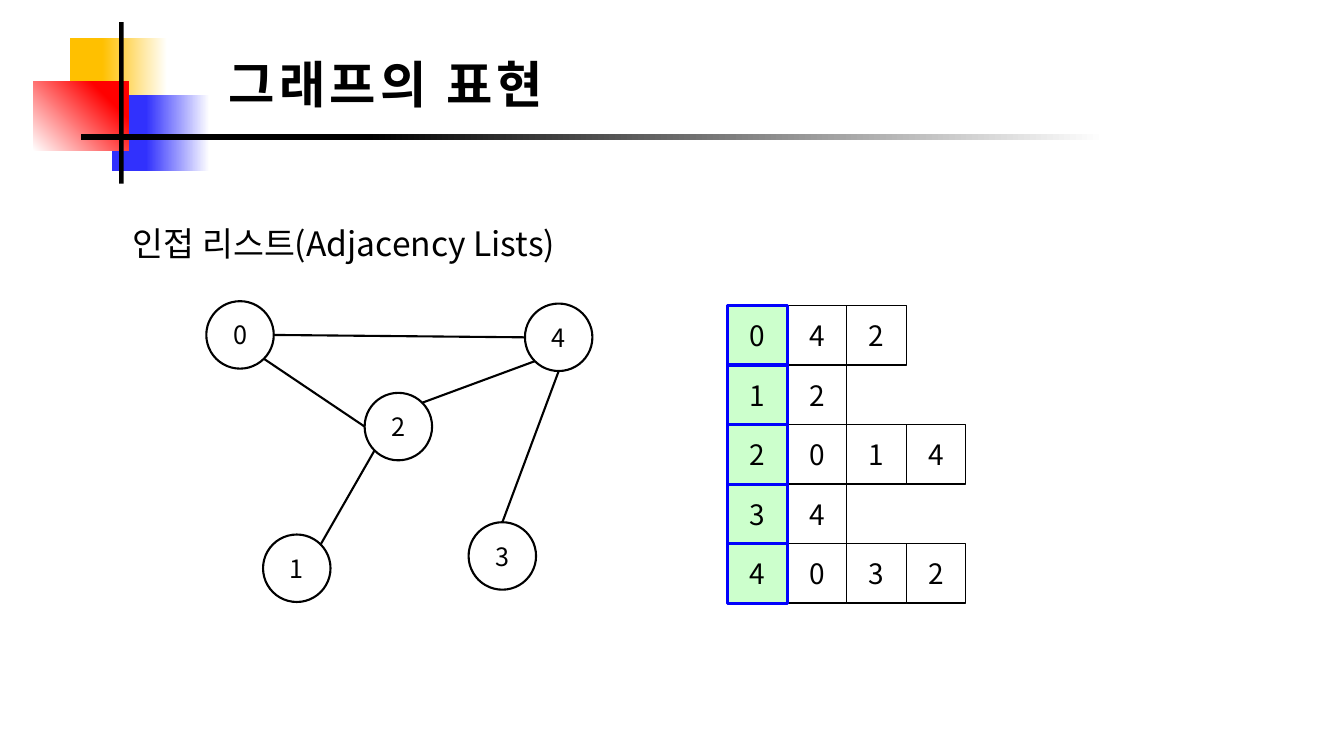
from math import cos, radians, sin

from lxml import etree
from pptx import Presentation
from pptx.dml.color import RGBColor
from pptx.enum.shapes import MSO_CONNECTOR, MSO_SHAPE
from pptx.enum.text import MSO_ANCHOR, MSO_AUTO_SIZE, PP_ALIGN
from pptx.oxml.ns import qn
from pptx.util import Cm, Pt

RECTANGLE = MSO_SHAPE.RECTANGLE
OVAL = MSO_SHAPE.OVAL
STRAIGHT = MSO_CONNECTOR.STRAIGHT
MIDDLE = MSO_ANCHOR.MIDDLE
FIT_SHAPE = MSO_AUTO_SIZE.SHAPE_TO_FIT_TEXT
CENTER = PP_ALIGN.CENTER

BLACK = RGBColor(0x00, 0x00, 0x00)
WHITE = RGBColor(0xFF, 0xFF, 0xFF)
YELLOW = RGBColor(0xFF, 0xC0, 0x00)
BLUE = RGBColor(0x31, 0x31, 0xFD)
RED = RGBColor(0xFF, 0x00, 0x00)
GREEN = RGBColor(0xCC, 0xFF, 0xCC)
HEAD_BLUE = RGBColor(0x02, 0x02, 0xFC)

FONT = "Noto Sans CJK KR"
NODE_SIZE = 1.7
CELL_SIZE = 1.5
LIST_LEFT, LIST_TOP = 18.34, 7.7

NODE_CENTERS = {
    0: (6.05, 8.44),
    1: (7.48, 14.32),
    2: (10.04, 10.75),
    3: (12.66, 14.01),
    4: (14.08, 8.5),
}
EDGES = [
    (0, 45, 2, 180),
    (1, -45, 2, 135),
    (3, -90, 4, 90),
    (4, 135, 2, -45),
    (0, 0, 4, 180),
]
ADJACENCY = [[4, 2], [2], [0, 1, 4], [4], [0, 3, 2]]


def add_run(paragraph, text, size, bold=False, spacing=0):
    """Add one black run, with optional letter spacing in points."""
    run = paragraph.add_run()
    run.text = text
    run.font.size = Pt(size)
    run.font.name = FONT
    run.font.bold = bold
    run.font.color.rgb = BLACK
    properties = run.font._element
    if spacing:
        properties.set("spc", str(spacing * 100))
    etree.SubElement(properties, qn("a:ea")).set("typeface", FONT)


def add_text(slide, left, top, width, height, text, size, bold=False, spacing=0):
    """Add a wrapping text box with a single line of text."""
    box = slide.shapes.add_textbox(Cm(left), Cm(top), Cm(width), Cm(height))
    box.text_frame.word_wrap = True
    box.text_frame.auto_size = FIT_SHAPE
    add_run(box.text_frame.paragraphs[0], text, size, bold, spacing)


def add_bar(slide, left, top, width, height, color, fade_stop=None, angle=180):
    """Add a borderless rectangle, solid or fading from white to its colour."""
    shape = slide.shapes.add_shape(
        RECTANGLE, Cm(left), Cm(top), Cm(width), Cm(height))
    shape.shadow.inherit = False
    shape.line.fill.background()
    if fade_stop is None:
        shape.fill.solid()
        shape.fill.fore_color.rgb = color
        return
    shape.fill.gradient()
    shape.fill.gradient_angle = angle
    start, end = shape.fill.gradient_stops
    start.color.rgb, start.position = WHITE, 0
    end.color.rgb, end.position = color, fade_stop


def add_labelled(slide, kind, left, top, side, label, size, fill, line, weight):
    """Add an outlined shape of equal sides with a centred label."""
    shape = slide.shapes.add_shape(kind, Cm(left), Cm(top), Cm(side), Cm(side))
    shape.shadow.inherit = False
    shape.fill.solid()
    shape.fill.fore_color.rgb = fill
    shape.line.color.rgb = line
    shape.line.width = Pt(weight)
    frame = shape.text_frame
    frame.margin_left = frame.margin_right = 0
    frame.margin_top = frame.margin_bottom = 0
    frame.vertical_anchor = MIDDLE
    frame.paragraphs[0].alignment = CENTER
    add_run(frame.paragraphs[0], str(label), size)


def rim_point(node, angle):
    """Return the point on a node's rim at a clockwise angle from the right."""
    x, y = NODE_CENTERS[node]
    radius = NODE_SIZE / 2
    return (Cm(x + radius * cos(radians(angle))),
            Cm(y + radius * sin(radians(angle))))


def add_edge(slide, start, start_angle, end, end_angle):
    """Draw a graph edge between the rims of two nodes."""
    edge = slide.shapes.add_connector(
        STRAIGHT, *rim_point(start, start_angle), *rim_point(end, end_angle))
    edge.line.color.rgb = BLACK
    edge.line.width = Pt(1.5)
    etree.SubElement(edge._element.spPr, qn("a:effectLst"))


def add_decoration(slide):
    """Draw the coloured blocks and crossing bars beside the title."""
    add_bar(slide, 1.76, 0.97, 2.46, 2.41, YELLOW, 0.67)
    add_bar(slide, 2.82, 2.4, 2.46, 1.92, BLUE, 0.65)
    add_bar(slide, 0.84, 2.06, 2.4, 1.74, RED, 0.78, 45)
    add_bar(slide, 3.0, 0.56, 0.12, 4.07, BLACK)
    add_bar(slide, 2.04, 3.39, 25.8, 0.13, BLACK, 0.72)


def add_graph(slide):
    """Draw the nodes and edges of the graph."""
    for node, (x, y) in NODE_CENTERS.items():
        add_labelled(slide, OVAL, x - NODE_SIZE / 2, y - NODE_SIZE / 2,
                     NODE_SIZE, node, 18, WHITE, BLACK, 1.5)
    for edge in EDGES:
        add_edge(slide, *edge)


def add_adjacency_lists(slide):
    """Draw each node's neighbours in a row, then the column of list heads."""
    for row, neighbours in enumerate(ADJACENCY):
        for column, neighbour in enumerate(neighbours, start=1):
            add_labelled(slide, RECTANGLE, LIST_LEFT + column * CELL_SIZE,
                         LIST_TOP + row * CELL_SIZE, CELL_SIZE,
                         neighbour, 20, WHITE, BLACK, 1)
    for node in range(len(ADJACENCY)):
        add_labelled(slide, RECTANGLE, LIST_LEFT, LIST_TOP + node * CELL_SIZE,
                     CELL_SIZE, node, 20, GREEN, HEAD_BLUE, 2.25)


def main():
    """Build the slide on adjacency lists and save it."""
    presentation = Presentation()
    presentation.slide_width = Cm(33.87)
    presentation.slide_height = Cm(19.05)
    slide = presentation.slides.add_slide(presentation.slide_layouts[6])
    add_text(slide, 5.51, 1.22, 18.59, 1.8, "그래프의 표현", 36, True, 3)
    add_decoration(slide)
    add_graph(slide)
    add_text(slide, 3.1, 5.49, 11.43, 1.27, "인접 리스트(Adjacency Lists)", 24)
    add_adjacency_lists(slide)
    presentation.save("out.pptx")


if __name__ == "__main__":
    main()
